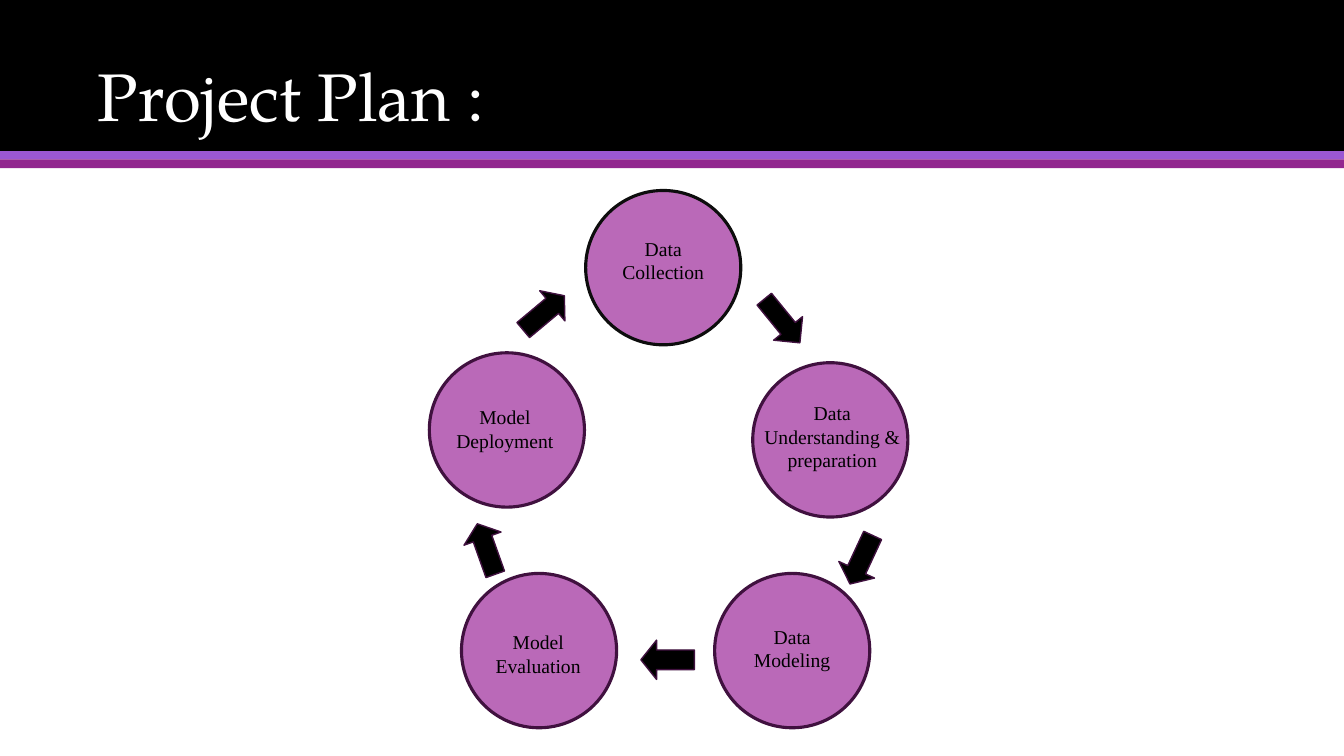
import pptx
import pptx.dml.color
import pptx.enum.shapes
import pptx.enum.text
import pptx.util

Cm = pptx.util.Cm
Pt = pptx.util.Pt
RGBColor = pptx.dml.color.RGBColor
Preset = pptx.enum.shapes.MSO_SHAPE
Align = pptx.enum.text.PP_ALIGN
Anchor = pptx.enum.text.MSO_ANCHOR

BLACK = RGBColor(0x00, 0x00, 0x00)
WHITE = RGBColor(0xFF, 0xFF, 0xFF)
VIOLET = RGBColor(0x9B, 0x57, 0xD3)
PURPLE = RGBColor(0x92, 0x27, 0x8F)
ORCHID = RGBColor(0xBA, 0x69, 0xB8)
PLUM = RGBColor(0x40, 0x11, 0x3F)
NEAR_BLACK = RGBColor(0x0D, 0x0D, 0x0D)

SLIDE_WIDTH = 33.87
CIRCLE_WIDTH, CIRCLE_HEIGHT = 3.91, 3.89
LABEL_WIDTH = 4.11


def add_figure(preset, left, top, width, height, fill, line=None, weight=1):
    """Add a filled preset shape, lengths in centimetres, outlined only if line is given."""
    figure = page.shapes.add_shape(preset, Cm(left), Cm(top), Cm(width), Cm(height))
    figure.shadow.inherit = False
    figure.fill.solid()
    figure.fill.fore_color.rgb = fill
    if line is None:
        figure.line.fill.background()
    else:
        figure.line.color.rgb = line
        figure.line.width = Pt(weight)
    return figure


def add_text(left, top, width, height, lines, font, size, color, align):
    """Add a wrapping text box with one paragraph per line."""
    box = page.shapes.add_textbox(Cm(left), Cm(top), Cm(width), Cm(height))
    frame = box.text_frame
    frame.word_wrap = True
    for index, line in enumerate(lines):
        para = frame.paragraphs[0] if index == 0 else frame.add_paragraph()
        para.alignment = align
        span = para.add_run()
        span.text = line
        span.font.name = font
        span.font.size = Pt(size)
        span.font.color.rgb = color
    return frame


deck = pptx.Presentation()
deck.slide_width = Cm(SLIDE_WIDTH)
deck.slide_height = Cm(19.05)
page = deck.slides.add_slide(deck.slide_layouts[6])

# Header bands: top, height, colour
for top, height, color in [(0, 3.81, BLACK), (3.81, 0.21, VIOLET), (4.02, 0.22, PURPLE)]:
    add_figure(Preset.RECTANGLE, 0, top, SLIDE_WIDTH, height, color)

title = add_text(2.21, 0.69, 26.67, 2.87, ["Project Plan :"],
                 "TeX Gyre Pagella", 48, WHITE, Align.LEFT)
title.vertical_anchor = Anchor.BOTTOM
title.paragraphs[0].line_spacing = 0.9

# Stages clockwise: circle left and top, outline, label left, top and height, lines
stages = [
    (14.76, 4.80, NEAR_BLACK, 14.66, 5.84, 1.45, ["Data", "Collection"]),
    (18.97, 9.14, PLUM, 18.92, 9.98, 2.06, ["Data Understanding & preparation"]),
    (18.01, 14.45, PLUM, 17.91, 15.62, 1.45, ["Data", "Modeling"]),
    (11.63, 14.45, PLUM, 11.51, 15.75, 1.45, ["Model", "Evaluation"]),
    (10.82, 8.89, PLUM, 10.67, 10.08, 1.45, ["Model", "Deployment"]),
]
for left, top, outline, label_left, label_top, label_height, lines in stages:
    add_figure(Preset.OVAL, left, top, CIRCLE_WIDTH, CIRCLE_HEIGHT, ORCHID, outline, 2.25)
    add_text(label_left, label_top, LABEL_WIDTH, label_height, lines,
             "Times New Roman", 14, BLACK, Align.CENTER)

# Arrows clockwise: left, top, width, height, rotation, head length
arrows = [
    (19.00, 7.62, 1.42, 0.94, 50.8, 0.5),
    (21.03, 13.61, 1.35, 0.99, 115, 0.4),
    (16.15, 16.13, 1.35, 0.99, 180, 0.4),
    (11.58, 13.34, 1.35, 0.99, 250.4, 0.4),
    (13.03, 7.39, 1.35, 0.99, 320.1, 0.4),
]
for left, top, width, height, rotation, head in arrows:
    arrow = add_figure(Preset.RIGHT_ARROW, left, top, width, height, BLACK, PLUM)
    arrow.rotation = rotation
    arrow.adjustments[1] = head

deck.save("out.pptx")
